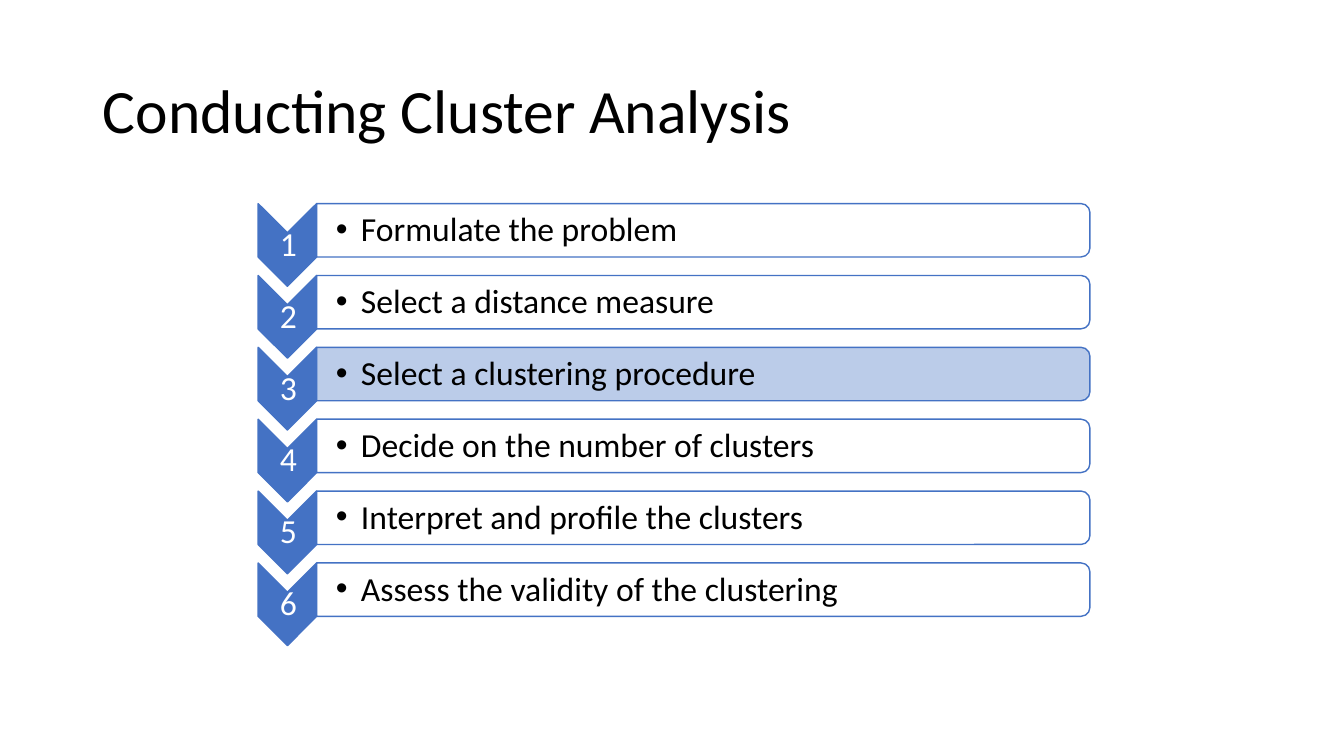
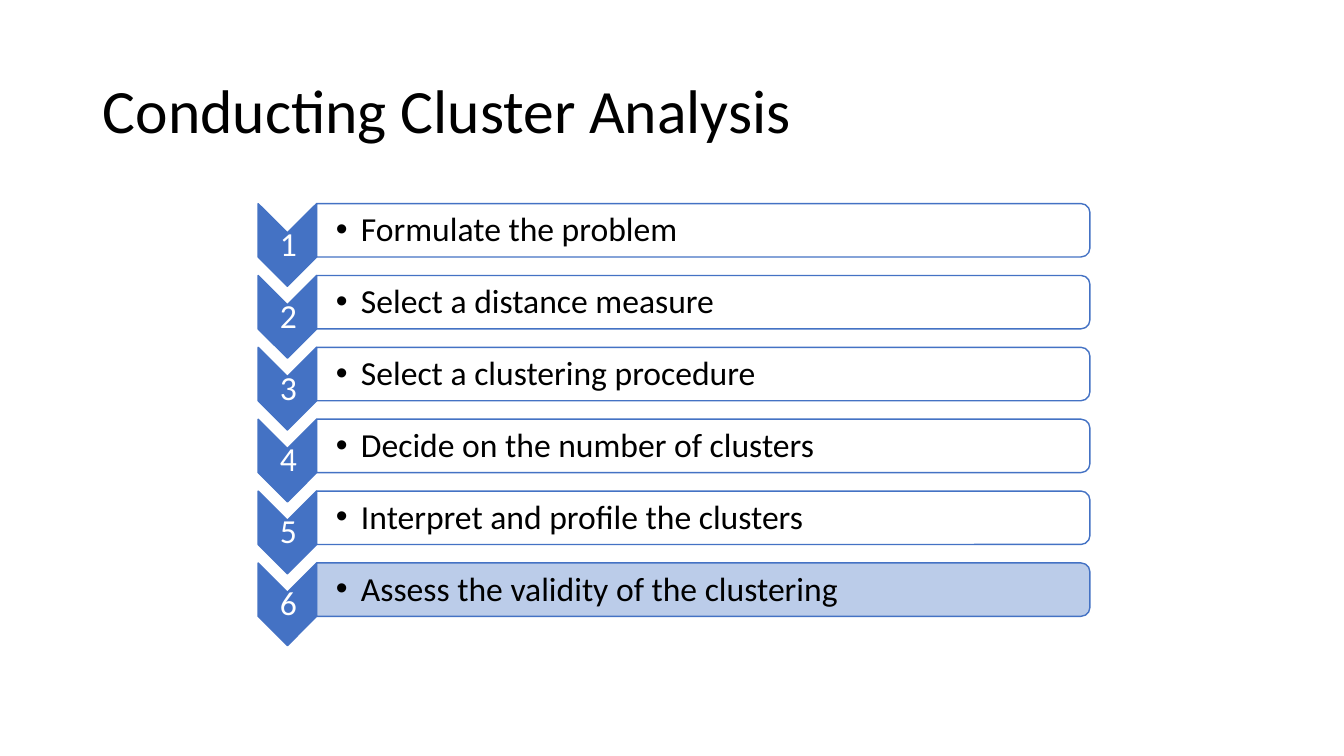
from dataclasses import dataclass

from lxml.etree import SubElement
from pptx import Presentation
from pptx.dml.color import RGBColor
from pptx.enum.shapes import MSO_SHAPE
from pptx.enum.text import MSO_ANCHOR, PP_ALIGN
from pptx.oxml.ns import qn
from pptx.shapes.autoshape import Shape
from pptx.shapes.shapetree import GroupShapes
from pptx.slide import Slide
from pptx.text.text import TextFrame
from pptx.util import Inches, Pt

FONT = "Calibri"
BLUE, PALE, WHITE, BLACK = "4472C4", "B4C7E7", "FFFFFF", "000000"
TITLE = "Conducting Cluster Analysis"
STEPS = (
    "Formulate the problem",
    "Select a distance measure",
    "Select a clustering procedure",
    "Decide on the number of clusters",
    "Interpret and profile the clusters",
    "Assess the validity of the clustering",
)
ACTIVE = (3, 6)
TOP, PITCH = 2.02, 0.713


@dataclass(frozen=True)
class Box:
    left: float
    top: float
    width: float
    height: float

    def emu(self) -> tuple[int, int, int, int]:
        return (Inches(self.left), Inches(self.top),
                Inches(self.width), Inches(self.height))

    def turn(self) -> "Box":
        shift = (self.width - self.height) / 2
        return Box(self.left + shift, self.top - shift, self.height, self.width)


@dataclass(frozen=True)
class Step:
    num: int
    text: str
    fill: str

    @property
    def top(self) -> float:
        return TOP + (self.num - 1) * PITCH


def color(code: str) -> RGBColor:
    return RGBColor.from_string(code)


def write(frame: TextFrame, text: str, size: int, code: str,
          align: PP_ALIGN = PP_ALIGN.LEFT, bullet: bool = False) -> None:
    frame.word_wrap = True
    frame.vertical_anchor = MSO_ANCHOR.MIDDLE
    para = frame.paragraphs[0]
    if bullet:
        para.level = 1
        props = para._p.get_or_add_pPr()
        props.set("marL", str(Inches(0.25)))
        props.set("indent", str(-Inches(0.25)))
        SubElement(props, qn("a:buFont"), typeface="Arial")
        SubElement(props, qn("a:buChar"), char="•")
    para.alignment = align
    para.line_spacing = 0.9
    run = para.add_run()
    run.text = text
    run.font.name = FONT
    run.font.size = Pt(size)
    run.font.color.rgb = color(code)


def label(shapes: GroupShapes, box: Box, text: str, code: str,
          inset: float, align: PP_ALIGN, bullet: bool) -> None:
    frame = shapes.add_textbox(*box.emu()).text_frame
    frame.margin_left = Inches(inset)
    frame.margin_right = frame.margin_top = frame.margin_bottom = Inches(0.02)
    write(frame, text, 24, code, align, bullet)


def block(shapes: GroupShapes, kind: MSO_SHAPE, box: Box, code: str) -> Shape:
    shape = shapes.add_shape(kind, *box.turn().emu())
    shape.rotation = 90
    shape.shadow.inherit = False
    shape.fill.solid()
    shape.fill.fore_color.rgb = color(code)
    shape.line.color.rgb = color(BLUE)
    shape.line.width = Pt(1)
    return shape


def fade(shape: Shape, share: int) -> None:
    fill = shape._element.spPr.find(qn("a:solidFill"))
    SubElement(fill[0], qn("a:alpha"), val=str(share * 1000))


def row(shapes: GroupShapes, step: Step) -> None:
    top = step.top
    block(shapes, MSO_SHAPE.CHEVRON, Box(2.56, top, 0.58, 0.82), BLUE)
    label(shapes, Box(2.57, top + 0.29, 0.58, 0.25), str(step.num), WHITE,
          0.02, PP_ALIGN.CENTER, False)
    bar = block(shapes, MSO_SHAPE.ROUND_2_SAME_RECTANGLE,
                Box(3.14, top, 7.67, 0.53), step.fill)
    fade(bar, 90)
    label(shapes, Box(3.14, top + 0.03, 7.65, 0.48), step.text, BLACK,
          0.19, PP_ALIGN.LEFT, True)


def head(slide: Slide) -> None:
    title = slide.shapes.title
    title.left, title.top, title.width, title.height = Box(
        0.92, 0.4, 11.5, 1.45).emu()
    write(title.text_frame, TITLE, 44, BLACK)


def main() -> None:
    deck = Presentation()
    deck.slide_width, deck.slide_height = Inches(13.33), Inches(7.5)
    for active in ACTIVE:
        slide = deck.slides.add_slide(deck.slide_layouts[5])
        head(slide)
        shapes = slide.shapes.add_group_shape().shapes
        for num, text in enumerate(STEPS, 1):
            row(shapes, Step(num, text, PALE if num == active else WHITE))
    deck.save("out.pptx")


if __name__ == "__main__":
    main()
